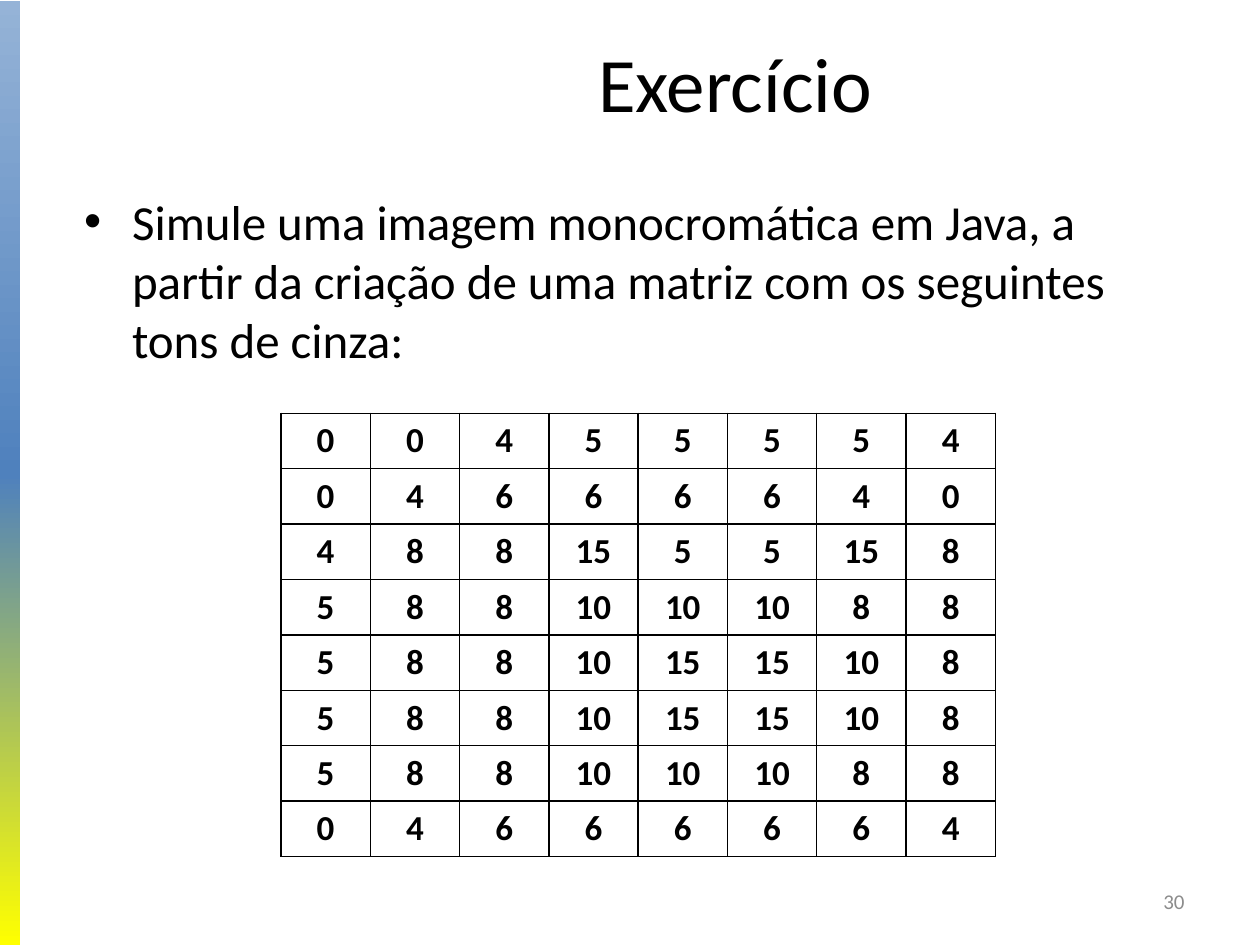
"""Build the exercise slide: a matrix of grey tones to be simulated in Java."""
from copy import deepcopy

from lxml.etree import SubElement
from pptx import Presentation
from pptx.dml.color import RGBColor
from pptx.enum.shapes import MSO_SHAPE
from pptx.enum.text import MSO_ANCHOR, PP_ALIGN
from pptx.oxml import parse_xml
from pptx.oxml.ns import nsdecls, qn
from pptx.util import Inches, Pt

THEME = {
    "font": "Calibri",
    "ink": "000000",
    "muted": "8C8C8C",
    "stripe": ["95B3D7", "4F81BD", "FFFF00"],
    "title": 44,
    "body": 28,
    "cell": 20,
    "number": 12,
}


def write(frame, text, size, color=THEME["ink"], align=PP_ALIGN.LEFT, bold=False):
    frame.word_wrap = True
    paragraph = frame.paragraphs[0]
    paragraph.alignment = align
    run = paragraph.add_run()
    run.text = text
    run.font.name = THEME["font"]
    run.font.size = Pt(size)
    run.font.bold = bold
    run.font.color.rgb = RGBColor.from_string(color)
    return paragraph


def add_frame(slide, left, top, width, height, anchor=MSO_ANCHOR.MIDDLE):
    box = slide.shapes.add_textbox(Inches(left), Inches(top), Inches(width), Inches(height))
    box.text_frame.vertical_anchor = anchor
    return box.text_frame


deck = Presentation()
deck.slide_width, deck.slide_height = Inches(10), Inches(7.5)
slide = deck.slides.add_slide(deck.slide_layouts[6])

stripe = slide.shapes.add_shape(
    MSO_SHAPE.RECTANGLE, Inches(-0.04), Inches(0.01), Inches(0.2), Inches(7.5))
stripe.shadow.inherit = False
stripe.line.fill.background()
stripe.fill.gradient()
stripe.fill.gradient_angle = 270
stop_list = stripe._element.spPr.find(qn("a:gradFill")).find(qn("a:gsLst"))
stop_list.append(deepcopy(stop_list[-1]))
for index, (stop, color) in enumerate(zip(stripe.fill.gradient_stops, THEME["stripe"])):
    stop.position = index / 2
    stop.color.rgb = RGBColor.from_string(color)

write(add_frame(slide, 2.17, 0.13, 7.33, 1.03), "Exercício",
      size=THEME["title"], align=PP_ALIGN.CENTER)

task = write(
    add_frame(slide, 0.57, 1.47, 9, 4.95, anchor=MSO_ANCHOR.TOP),
    "Simule uma imagem monocromática em Java, a partir da criação de uma matriz "
    "com os seguintes tons de cinza:",
    size=THEME["body"])
task.space_before = Pt(5.6)
task_format = task._p.get_or_add_pPr()
task_format.set("marL", str(Inches(0.38)))
task_format.set("indent", str(Inches(-0.38)))
SubElement(task_format, qn("a:buFont"), typeface="Arial")
SubElement(task_format, qn("a:buChar"), char="•")

write(add_frame(slide, 7.17, 6.95, 2.33, 0.4), "30",
      size=THEME["number"], color=THEME["muted"], align=PP_ALIGN.RIGHT)

tones = [
    [0, 0, 4, 5, 5, 5, 5, 4],
    [0, 4, 6, 6, 6, 6, 4, 0],
    [4, 8, 8, 15, 5, 5, 15, 8],
    [5, 8, 8, 10, 10, 10, 8, 8],
    [5, 8, 8, 10, 15, 15, 10, 8],
    [5, 8, 8, 10, 15, 15, 10, 8],
    [5, 8, 8, 10, 10, 10, 8, 8],
    [0, 4, 6, 6, 6, 6, 6, 4],
]
matrix = slide.shapes.add_table(
    len(tones), len(tones[0]), Inches(2.23), Inches(3.28), Inches(5.67), Inches(3.52)).table
matrix.first_row = False
matrix.horz_banding = False
for row, values in enumerate(tones):
    for column, tone in enumerate(values):
        cell = matrix.cell(row, column)
        write(cell.text_frame, str(tone), size=THEME["cell"], align=PP_ALIGN.CENTER, bold=True)
        cell.vertical_anchor = MSO_ANCHOR.MIDDLE
        cell.fill.background()
        cell_format = cell._tc.get_or_add_tcPr()
        for position, side in enumerate(("lnL", "lnR", "lnT", "lnB")):
            cell_format.insert(position, parse_xml(
                f'<a:{side} {nsdecls("a")} w="{Pt(1)}"><a:solidFill>'
                f'<a:srgbClr val="{THEME["ink"]}"/></a:solidFill></a:{side}>'))

deck.save("out.pptx")
